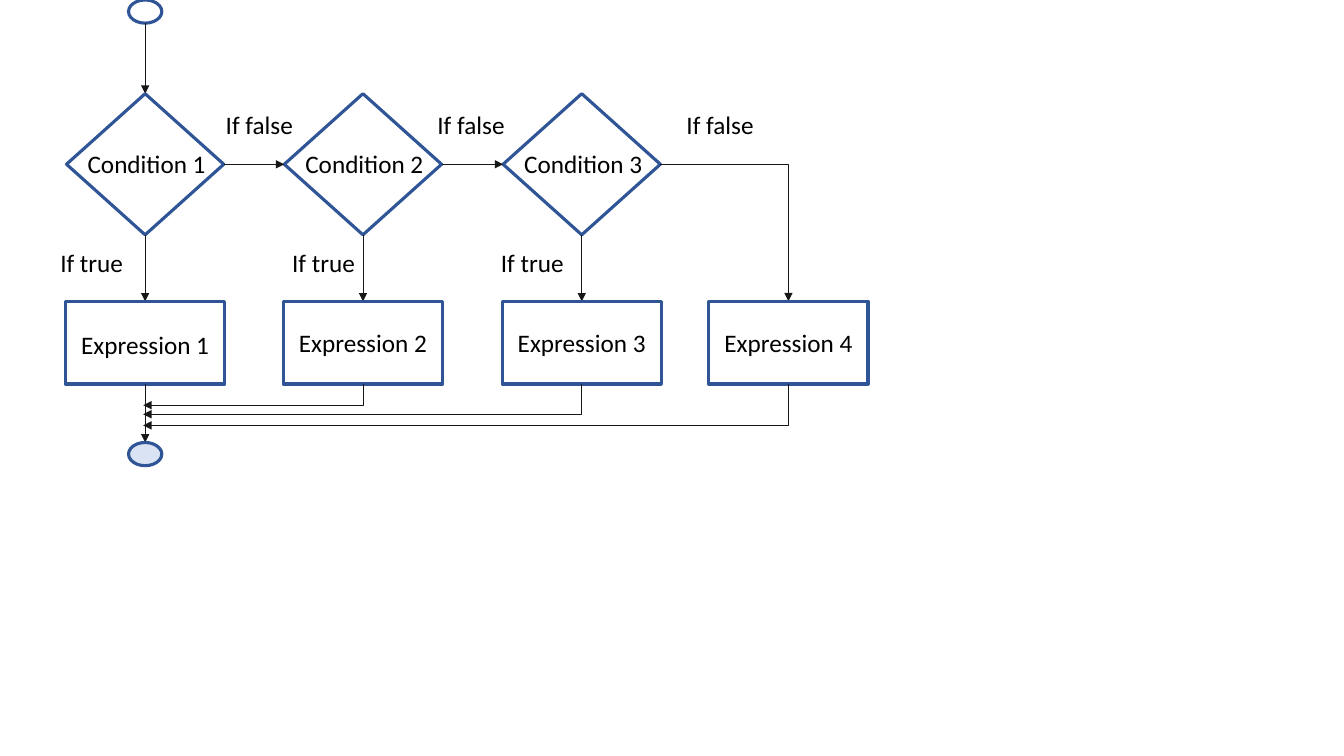
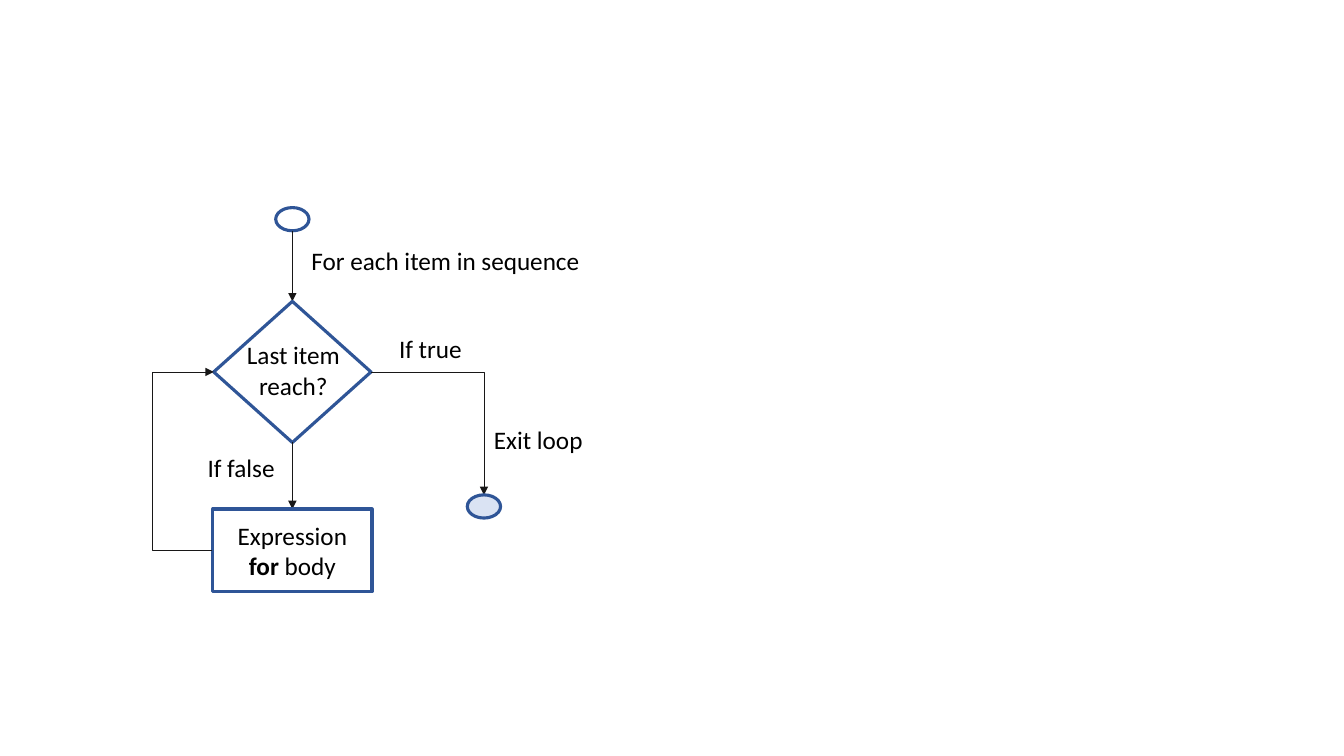
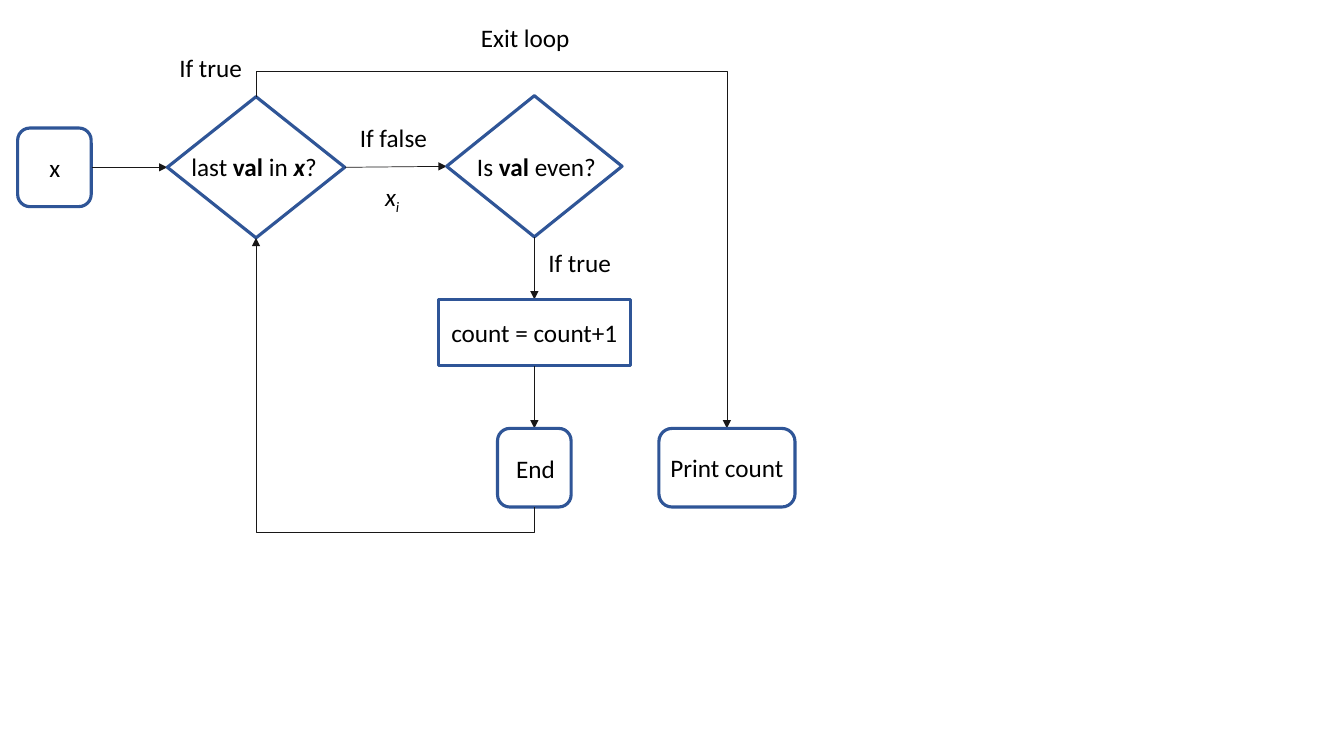
from lxml.etree import SubElement
from pptx import Presentation
from pptx.dml.color import RGBColor
from pptx.enum.shapes import MSO_CONNECTOR as LINE, MSO_SHAPE as SHAPE
from pptx.enum.text import MSO_AUTO_SIZE as AUTO, PP_ALIGN as ALIGN
from pptx.oxml.ns import qn
from pptx.util import Pt

PX = 9144  # EMU per px, 100 px to the inch
COLORS = {"outline": "2F5597", "end": "DAE3F3", "arrow": "181717", "text": "000000"}
FONT = {"name": "Calibri", "size": Pt(18)}
BOLD = {"bold": True}
ITALIC = {"italic": True}
LABEL_H = 40
DOT_W, DOT_H = 33, 23
DIAMOND_W, DIAMOND_H = 156, 140
BOX_W, BOX_H = 158, 82


def emu(*lengths):
    return [round(n * PX) for n in lengths]


def rgb(name):
    return RGBColor.from_string(COLORS[name])


class Flowchart:
    def __init__(self):
        self.prs = Presentation()
        self.prs.slide_width, self.prs.slide_height = emu(1333, 750)

    def new_slide(self):
        self.s = self.prs.slides.add_slide(self.prs.slide_layouts[6])

    def node(self, kind, x, y, w, h, fill=None):
        sp = self.s.shapes.add_shape(kind, *emu(x, y, w, h))
        sp.shadow.inherit = False
        if fill:
            sp.fill.solid()
            sp.fill.fore_color.rgb = rgb(fill)
        else:
            sp.fill.background()
        sp.line.color.rgb = rgb("outline")
        sp.line.width = Pt(2.25)

    def dot(self, cx, y, fill=None):
        self.node(SHAPE.OVAL, cx - DOT_W / 2, y, DOT_W, DOT_H, fill)

    def diamond(self, cx, y, w=DIAMOND_W):
        self.node(SHAPE.DIAMOND, cx - w / 2, y, w, DIAMOND_H)

    def box(self, cx, y, w=BOX_W, h=BOX_H):
        self.node(SHAPE.RECTANGLE, cx - w / 2, y, w, h)

    def rounded(self, cx, y, w=73):
        self.node(SHAPE.ROUNDED_RECTANGLE, cx - w / 2, y, w, 78)

    def label(self, x, y, w, *paras, h=LABEL_H, wrap=False, align=ALIGN.LEFT):
        """Each paragraph is a string or a list of (text, format) runs."""
        tf = self.s.shapes.add_textbox(*emu(x, y, w, h)).text_frame
        tf.word_wrap = wrap
        tf.auto_size = AUTO.SHAPE_TO_FIT_TEXT
        for i, para in enumerate(paras):
            p = tf.add_paragraph() if i else tf.paragraphs[0]
            p.alignment = align
            for text, style in [(para, {})] if isinstance(para, str) else para:
                r = p.add_run()
                r.text = text
                r.font.color.rgb = rgb("text")
                for key, value in {**FONT, **style}.items():
                    if key == "baseline":
                        r.font._element.set(key, value)
                    else:
                        setattr(r.font, key, value)

    def centered(self, cx, y, w, *paras, **options):
        self.label(cx - w / 2, y, w, *paras, wrap=True, align=ALIGN.CENTER, **options)

    def arrow(self, x1, y1, x2, y2, kind=LINE.STRAIGHT):
        c = self.s.shapes.add_connector(kind, *emu(x1, y1, x2, y2))
        c.line.color.rgb = rgb("arrow")
        c.line.width = Pt(0.5)
        sp_pr = c._element.spPr
        SubElement(sp_pr.find(qn("a:ln")), qn("a:tailEnd"), type="triangle")
        SubElement(sp_pr, qn("a:effectLst"))
        return c

    def bent(self, x1, y1, x2, y2, down=False, turn=None):
        """Arrow leaving sideways or, if down, vertically; turn is where it
        first bends on that axis, and without it there is a single corner."""
        dx, dy = x2 - x1, y2 - y1
        if down:
            angle, start, along, across = (90 if dx < 0 else 270), y1, dy, dx
        else:
            angle, start, along, across = (0 if dy >= 0 else 180), x1, dx, dy
        # The connector is drawn unrotated around the same centre.
        local = along if angle in (0, 90) else -along
        cx, cy, h = (x1 + x2) / 2, (y1 + y2) / 2, abs(across)
        c = self.arrow(cx - local / 2, cy - h / 2, cx + local / 2, cy + h / 2, LINE.ELBOW)
        c.rotation = angle
        c._element.spPr.find(qn("a:xfrm")).set("rot", str(angle * 60000))
        geom = c._element.spPr.find(qn("a:prstGeom"))
        if turn is None:
            geom.set("prst", "bentConnector2")
        else:
            ratio = round((turn - start) / along * 100000)
            SubElement(geom.find(qn("a:avLst")), qn("a:gd"), name="adj1", fmla=f"val {ratio}")


def if_chain(f):
    f.new_slide()
    columns = [144, 360, 577, 782]
    top, mid, bottom = 93, 163, 233
    box_y, box_end = 299, 381
    first, last = columns[0], columns[-1]

    f.dot(first, 0)
    f.arrow(first, DOT_H, first, top)
    true_x, false_x = [50, 280, 487], [214, 424, 671]
    for i, cx in enumerate(columns[:-1]):
        f.diamond(cx, top)
        f.label(cx - 67, 142, 139, f"Condition {i + 1}")
        f.arrow(cx, bottom, cx, box_y)
        f.label(true_x[i], 240, 83, "If true")
        f.label(false_x[i], 104, 88, "If false")
    for left, right in zip(columns, columns[1:-1]):
        f.arrow(left + DIAMOND_W / 2, mid, right - DIAMOND_W / 2, mid)
    f.bent(columns[2] + DIAMOND_W / 2, mid, last, box_y)

    for i, cx in enumerate(columns):
        f.box(cx, box_y)
        f.centered(cx, 320 if i else 322, 180, f"Expression {i + 1}")
    f.arrow(first, box_end, first, 439)
    for cx, join_y in zip(columns[1:], [402, 411, 422]):
        f.bent(cx, box_end, 142, join_y, down=True)
    f.dot(first, 439, "end")


def for_loop(f):
    f.new_slide()
    cx, exit_x = 290, 480
    f.dot(cx, 206)
    f.arrow(cx, 229, cx, 299)
    f.label(299, 238, 290, "For each item in sequence")
    f.diamond(cx, 299)
    f.centered(cx + 1, 332, 156, "Last item reach?", h=71)
    f.arrow(cx, 439, cx, 505)
    f.label(196, 444, 88, "If false")
    f.box(cx, 505)
    f.centered(cx, 511, 130, "Expression", [("for", BOLD), (" body", {})], h=71)
    f.bent(210, 546, 212, 369, turn=151)
    f.bent(368, 369, exit_x, 491)
    f.label(386, 326, 83, "If true")
    f.label(exit_x, 416, 109, "Exit loop")
    f.dot(exit_x, 491, "end")


def count_even(f):
    f.new_slide()
    start_x, last_x, even_x, print_x = 54, 254, 530, 721
    f.rounded(start_x, 127)
    f.label(39, 146, 31, "x")
    f.arrow(91, 166, 166, 166)
    f.diamond(last_x, 96, 176)
    f.centered(252, 145, 168, [("last ", {}), ("val", BOLD), (" in", {}),
                               (" x", {**BOLD, **ITALIC}), ("?", {})])
    f.arrow(342, 166, 443, 165)
    f.label(347, 116, 88, "If false")
    f.label(372, 175, 35, [("x", ITALIC), ("i", {**ITALIC, "baseline": "-25000"})])
    f.diamond(even_x, 95, 174)
    f.centered(532, 145, 164, [("Is ", {}), ("val ", BOLD), ("even?", {})])
    f.arrow(even_x, 235, even_x, 297)
    f.label(534, 240, 83, "If true")
    f.box(even_x, 297, 190, 66)
    f.centered(even_x, 310, 217, "count = count+1")
    f.arrow(even_x, 363, even_x, 425)
    f.rounded(even_x, 425)
    f.label(502, 445, 59, "End")
    f.bent(even_x, 503, last_x, 236, down=True, turn=528)
    f.bent(last_x, 96, print_x, 425, down=True, turn=71)
    f.label(168, 47, 83, "If true")
    f.label(467, 17, 109, "Exit loop")
    f.rounded(print_x, 425, 135)
    f.label(655, 444, 134, "Print count")


def main():
    f = Flowchart()
    for draw in (if_chain, for_loop, count_even):
        draw(f)
    f.prs.save("out.pptx")


if __name__ == "__main__":
    main()
